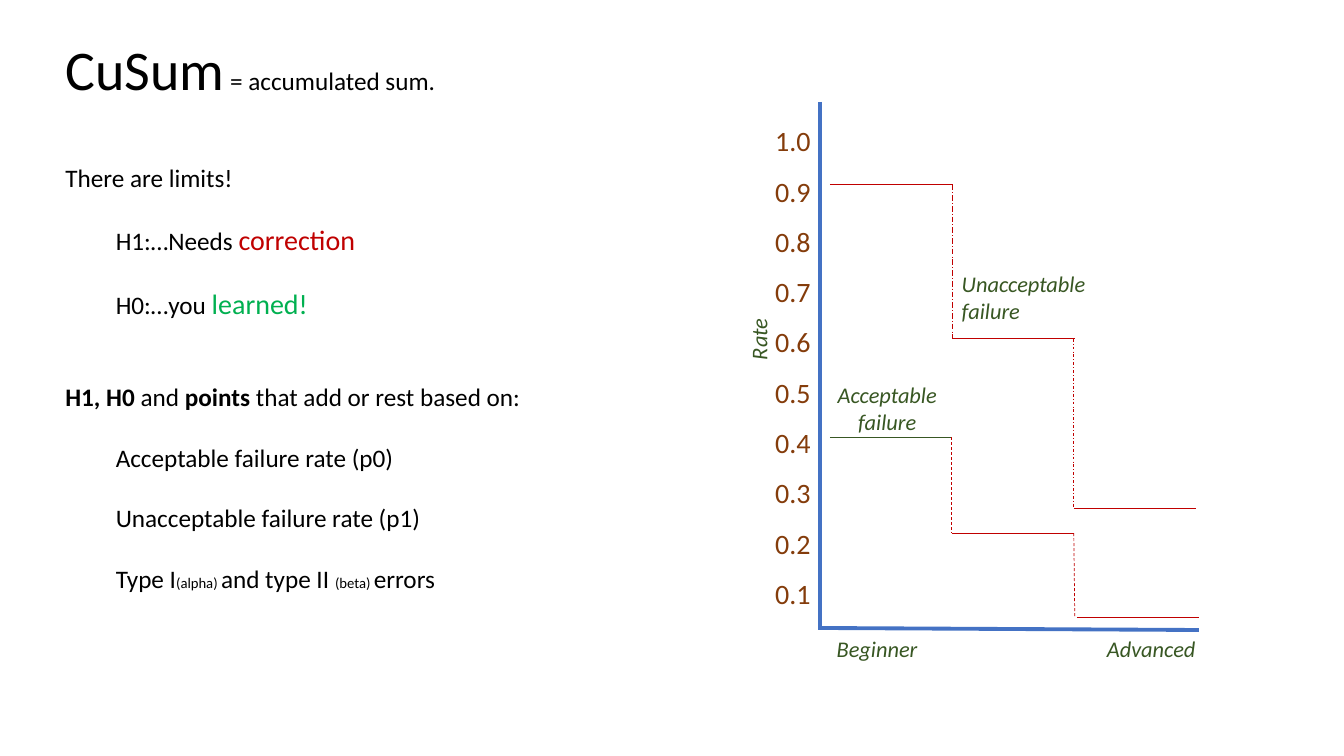
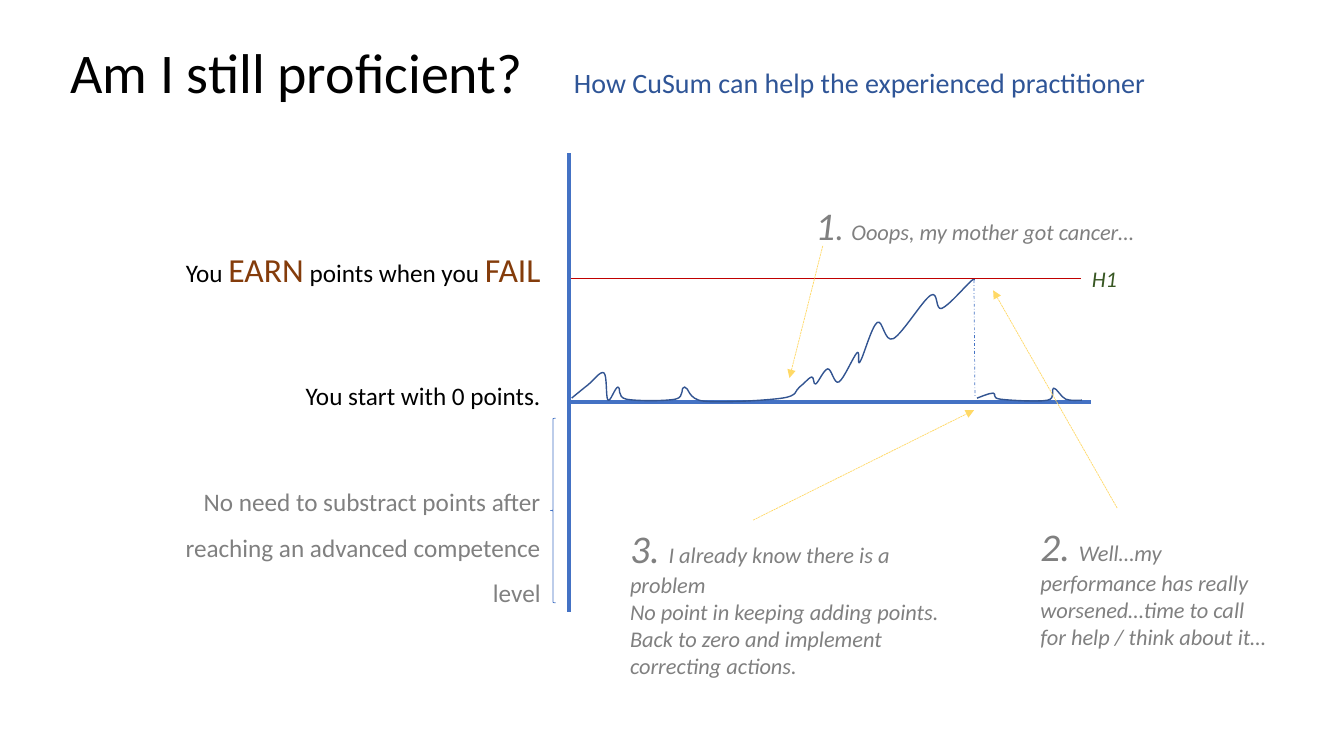
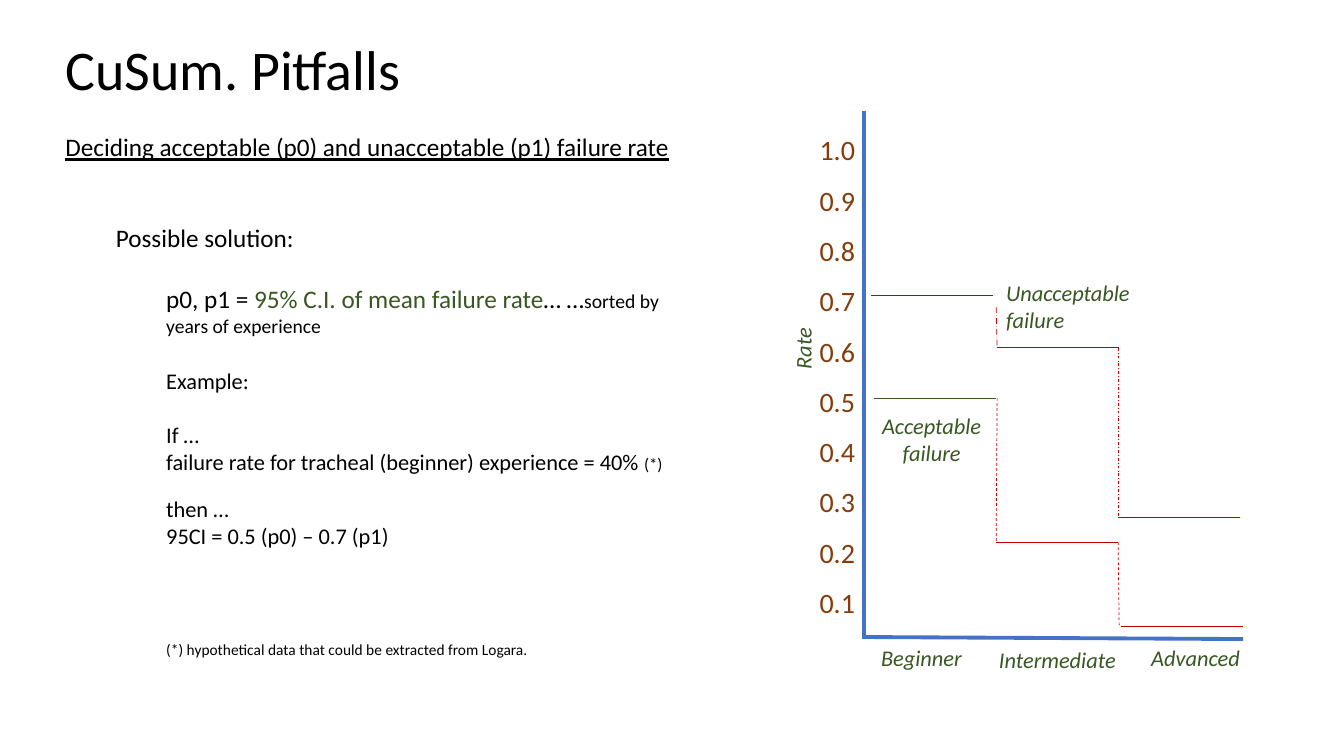
from dataclasses import dataclass
from itertools import pairwise

from lxml.etree import SubElement
from pptx import Presentation
from pptx.dml.color import RGBColor
from pptx.enum.dml import MSO_LINE
from pptx.enum.shapes import MSO_CONNECTOR, MSO_SHAPE
from pptx.enum.text import PP_ALIGN
from pptx.oxml.ns import qn
from pptx.util import Inches, Pt

BLACK = RGBColor(0x00, 0x00, 0x00)
GRAY = RGBColor(0x80, 0x80, 0x80)
RED = RGBColor(0xC0, 0x00, 0x00)
BRIGHT_GREEN = RGBColor(0x00, 0xB0, 0x50)
GREEN = RGBColor(0x38, 0x57, 0x23)
BROWN = RGBColor(0x84, 0x3C, 0x0B)
BLUE = RGBColor(0x44, 0x72, 0xC4)
NAVY = RGBColor(0x2F, 0x55, 0x97)
CURVE_BLUE = RGBColor(0x32, 0x54, 0x91)
YELLOW = RGBColor(0xFF, 0xD9, 0x66)

FONT = "Calibri"
TITLE_SIZE = 40
AXIS_WIDTH = 2.75
THIN = 0.5
GAP = 21.7
TREAD = 1.21


@dataclass
class Run:
    """A piece of text with one look."""
    text: str
    size: float = 18
    color: RGBColor = BLACK
    bold: bool = False
    italic: bool = False
    underline: bool = False
    spread: float = 0


@dataclass
class Para:
    """A paragraph: its runs and its spacing in points."""
    runs: list
    before: float = 0
    after: float = 0
    level: int = 0
    align: PP_ALIGN = PP_ALIGN.LEFT
    spacing: float = 1.0


@dataclass
class Stairs:
    """Three falling levels: their left ends, heights and joining drops."""
    starts: tuple
    levels: tuple
    drops: tuple
    dashes: tuple
    first_color: RGBColor = RED
    first_gap: float = 0


def add_text(s, left, top, width, height, paras, rotation=0):
    """Add a wrapping text box."""
    box = s.shapes.add_textbox(Inches(left), Inches(top), Inches(width), Inches(height))
    box.rotation = rotation
    tf = box.text_frame
    tf.word_wrap = True
    for i, para in enumerate(paras):
        p = tf.add_paragraph() if i else tf.paragraphs[0]
        p.space_before, p.space_after = Pt(para.before), Pt(para.after)
        p.alignment, p.line_spacing, p.level = para.align, para.spacing, para.level
        pPr = p._p.get_or_add_pPr()
        pPr.set("marL", str(Inches(0.5 * para.level)))
        pPr.set("indent", "0")
        for run in para.runs:
            r = p.add_run()
            r.text = run.text
            r.font.name, r.font.size = FONT, Pt(run.size)
            r.font.color.rgb = run.color
            r.font.bold, r.font.italic = run.bold, run.italic
            r.font.underline = run.underline
            if run.spread:
                r._r.get_or_add_rPr().set("spc", str(round(run.spread * 100)))


def add_label(s, left, top, width, text, height=0.37, align=PP_ALIGN.LEFT, rotation=0):
    """Add a green italic chart label."""
    para = Para([Run(text, 16, GREEN, italic=True)], align=align)
    add_text(s, left, top, width, height, [para], rotation)


def add_line(s, x1, y1, x2, y2, color=RED, width=THIN, dash=None, arrow=False):
    """Add a straight line, with an arrowhead at its end if asked."""
    line = s.shapes.add_connector(
        MSO_CONNECTOR.STRAIGHT, Inches(x1), Inches(y1), Inches(x2), Inches(y2))
    line.line.color.rgb = color
    line.line.width = Pt(width)
    if dash:
        line.line.dash_style = dash
    if arrow:
        SubElement(line.line._get_or_add_ln(), qn("a:tailEnd"), type="triangle")
    SubElement(line._element.spPr, qn("a:effectLst"))


def add_outline(shape, color, width):
    """Leave a shape with its outline only."""
    shape.shadow.inherit = False
    shape.fill.background()
    shape.line.color.rgb = color
    shape.line.width = Pt(width)


def add_curve(s, knots):
    """Add a smooth open curve of one Bezier segment between knots."""
    points = [(Inches(x), Inches(y)) for x, y in knots]
    builder = s.shapes.build_freeform(*points[0])
    builder.add_line_segments(points[1:], close=False)
    shape = builder.convert_to_shape()
    left, top = shape.left, shape.top
    ends = [points[0], *points, points[-1]]
    for i, segment in enumerate(list(shape._element.iter(qn("a:lnTo")))):
        a, b, c, d = ends[i:i + 4]
        out_handle = [q + (r - p) / 6 for p, q, r in zip(a, b, c)]
        in_handle = [q - (r - p) / 6 for p, q, r in zip(b, c, d)]
        segment.clear()
        segment.tag = qn("a:cubicBezTo")
        for x, y in (out_handle, in_handle, c):
            SubElement(segment, qn("a:pt"), x=str(round(x - left)), y=str(round(y - top)))
    add_outline(shape, CURVE_BLUE, 1)


def add_stairs(s, dx, dy, stairs):
    """Add falling level lines joined by dashed drops."""
    levels = [dy + y for y in stairs.levels]
    for i, (x, y) in enumerate(zip(stairs.starts, levels)):
        add_line(s, x + dx, y, x + dx + TREAD, y, RED if i else stairs.first_color)
    for i, ((x1, x2), (y1, y2)) in enumerate(zip(stairs.drops, pairwise(levels))):
        gap = 0 if i else stairs.first_gap
        add_line(s, x1 + dx, y1 + gap, x2 + dx, y2, dash=stairs.dashes[i])


def add_rate_chart(s, dx, dy, unacceptable, acceptable, acceptable_top):
    """Add the rate axes, both failure stairs and their labels."""
    scale = [Para([Run(f"{n / 10:.1f}", 20, BROWN)], after=11.9) for n in range(10, 0, -1)]
    add_text(s, 7.59 + dx, 1.18 + dy, 0.87, 5.1, scale)
    add_line(s, 8.13 + dx, 1.01 + dy, 8.13 + dx, 6.25 + dy, BLUE, AXIS_WIDTH)
    add_line(s, 8.13 + dx, 6.23 + dy, 11.89 + dx, 6.25 + dy, BLUE, AXIS_WIDTH)
    add_stairs(s, dx, dy, unacceptable)
    add_stairs(s, dx, dy, acceptable)
    add_label(s, 9.44 + dx, 2.63 + dy, 1.59, "Unacceptable failure", 0.64)
    add_label(s, 8.03 + dx, acceptable_top + dy, 1.54, "Acceptable failure", 0.64,
              PP_ALIGN.CENTER)
    add_label(s, 6.51 + dx, 2.47 + dy, 2.03, "Rate", rotation=270)
    add_label(s, 8.2 + dx, 6.25 + dy, 1.13, "Beginner")
    add_label(s, 10.88 + dx, 6.25 + dy, 1.13, "Advanced")


def add_note(s, left, top, width, height, head, *lines):
    """Add a gray italic note that opens with a large number."""
    first, *rest = [[Run(line, 16, GRAY, italic=True)] for line in lines]
    number = [Run(text, size, GRAY, italic=True) for text, size in head]
    add_text(s, left, top, width, height, [Para(number + first), *map(Para, rest)])


def unacceptable_stairs(start, first_level, first_drop, gap=0):
    """Return the upper stairs, which differ in their first step only."""
    return Stairs((start, 9.45, 10.65), (first_level, 3.36, 5.04),
                  (first_drop, (10.65, 10.65)),
                  (MSO_LINE.LONG_DASH_DOT, MSO_LINE.DASH_DOT), first_gap=gap)


def acceptable_stairs(first_level, first_drop):
    """Return the lower stairs, which differ in their first step only."""
    return Stairs((8.23, 9.44, 10.68), (first_level, 5.29, 6.12),
                  (first_drop, (10.65, 10.66)),
                  (MSO_LINE.DASH, MSO_LINE.DASH), first_color=GREEN)


def build_limits(s):
    """Build the slide on limits."""
    add_text(s, 0.55, 0.29, 4.9, 5.69, [
        Para([Run("CuSum", TITLE_SIZE), Run(" = accumulated sum.")]),
        Para([Run("There are limits!")], 2 * GAP),
        Para([Run("H1:…Needs "), Run("correction", 20, RED)], GAP, level=1),
        Para([Run("H0:…you "), Run("learned!", 20, BRIGHT_GREEN)], GAP, level=1),
        Para([Run("H1, H0 ", bold=True), Run("and "), Run("points ", bold=True),
              Run("that add or rest based on:")], 2 * GAP),
        Para([Run("Acceptable failure rate (p0)")], GAP, level=1),
        Para([Run("Unacceptable failure rate (p1)")], GAP, level=1),
        Para([Run("Type I"), Run("(alpha) ", 10.5), Run("and type II "),
              Run("(beta) ", 10.5), Run("errors")], GAP, level=1),
    ])
    add_rate_chart(s, 0, 0, unacceptable_stairs(8.23, 1.83, (9.45, 9.45)),
                   acceptable_stairs(4.34, (9.44, 9.44)), 3.73)


def build_proficiency(s):
    """Build the slide on the experienced practitioner."""
    right = PP_ALIGN.RIGHT
    add_text(s, 1.38, 2.42, 4.08, 3.65, [
        Para([Run("You "), Run("EARN", 24, BROWN), Run(" points when you "),
              Run("FAIL", 24, BROWN)], align=right),
        Para([Run("You start with 0 points.")], 3 * GAP, align=right),
        Para([Run("No need to substract points after reaching an advanced "
                  "competence level", color=GRAY)], 2 * GAP, align=right, spacing=1.5),
    ])
    add_line(s, 5.64, 1.52, 5.64, 6.07, BLUE, AXIS_WIDTH)
    add_line(s, 5.64, 3.99, 10.82, 3.99, BLUE, AXIS_WIDTH)
    add_text(s, 0.6, 0.32, 12.38, 1.08, [
        Para([Run("Am I still proficient?", TITLE_SIZE), Run(" ", TITLE_SIZE, spread=27.5),
              Run("How CuSum can help the experienced practitioner", 20, NAVY)])])
    add_curve(s, [
        (5.67, 3.95), (5.83, 3.82), (5.99, 3.7), (6.03, 3.97), (6.13, 3.84), (6.21, 3.96),
        (6.7, 3.96), (6.79, 3.84), (6.98, 3.98), (7.76, 3.95), (7.93, 3.84), (8.05, 3.74),
        (8.09, 3.81), (8.21, 3.66), (8.32, 3.79), (8.5, 3.5), (8.53, 3.59), (8.7, 3.2),
        (8.86, 3.36), (9.23, 2.93), (9.34, 3.06), (9.63, 2.79), (9.66, 2.78)])
    add_curve(s, [
        (9.69, 3.95), (9.85, 3.9), (9.92, 3.96), (10.39, 3.97), (10.45, 3.85),
        (10.57, 3.96), (10.73, 3.97)])
    add_line(s, 5.66, 2.76, 10.72, 2.76)
    add_label(s, 10.73, 2.58, 0.62, "H1")
    add_line(s, 9.66, 2.78, 9.67, 3.94, BLUE, dash=MSO_LINE.DASH_DOT)
    for ends in ((8.16, 2.44, 7.83, 3.75), (11.08, 5.04, 9.85, 2.88), (7.47, 5.16, 9.66, 4.07)):
        add_line(s, *ends, YELLOW, dash=MSO_LINE.SQUARE_DOT, arrow=True)
    add_note(s, 7.99, 1.95, 4.3, 0.57, [("1", 28), (". ", 24)],
             "Ooops, my mother got cancer…")
    add_note(s, 10.22, 5.13, 2.49, 1.38, [("2. ", 28)],
             "Well…my performance has really worsened…time to call for help / think about it…")
    add_note(s, 6.15, 5.15, 3.28, 1.65, [("3. ", 28)],
             "I already know there is a problem",
             "No point in keeping adding points.",
             "Back to zero and implement correcting actions.")
    brace = s.shapes.add_shape(
        MSO_SHAPE.LEFT_BRACE, Inches(5.46), Inches(4.15), Inches(0.05), Inches(1.83))
    add_outline(brace, BLUE, THIN)


def build_pitfalls(s):
    """Build the slide on pitfalls."""
    add_text(s, 0.55, 0.29, 6.35, 6.95, [
        Para([Run("CuSum. Pitfalls", TITLE_SIZE)]),
        Para([Run("Deciding acceptable (p0) and unacceptable (p1) failure rate",
                  underline=True)], GAP),
        Para([Run("Possible solution:")], 2 * GAP, level=1),
        Para([Run("p0, p1 = "), Run("95% C.I. of mean failure rate", color=GREEN),
              Run("… …"), Run("sorted by years of experience", 14)], GAP, level=2),
        Para([Run("Example:", 16)], GAP, level=2),
        Para([Run("If …", 16)], 19.2, level=2),
        Para([Run("failure rate for tracheal (beginner) experience = 40% ", 16),
              Run("(*)", 12)], level=2),
        Para([Run("then …", 16)], 14.4, level=2),
        Para([Run("95CI = 0.5 (p0) – 0.7 (p1)", 16)], level=2),
        Para([Run("(*) hypothetical data that could be extracted from Logara.", 11)],
             3 * GAP, level=2),
    ])
    add_rate_chart(s, 0.44, 0.09, unacceptable_stairs(8.2, 2.84, (9.44, 9.45), 0.12),
                   acceptable_stairs(3.86, (9.45, 9.44)), 3.95)
    add_label(s, 9.81, 6.36, 1.37, "Intermediate")


def main():
    """Build and save the presentation."""
    prs = Presentation()
    prs.slide_width, prs.slide_height = Inches(13.33), Inches(7.5)
    for build in (build_limits, build_proficiency, build_pitfalls):
        build(prs.slides.add_slide(prs.slide_layouts[6]))
    prs.save("out.pptx")


main()
